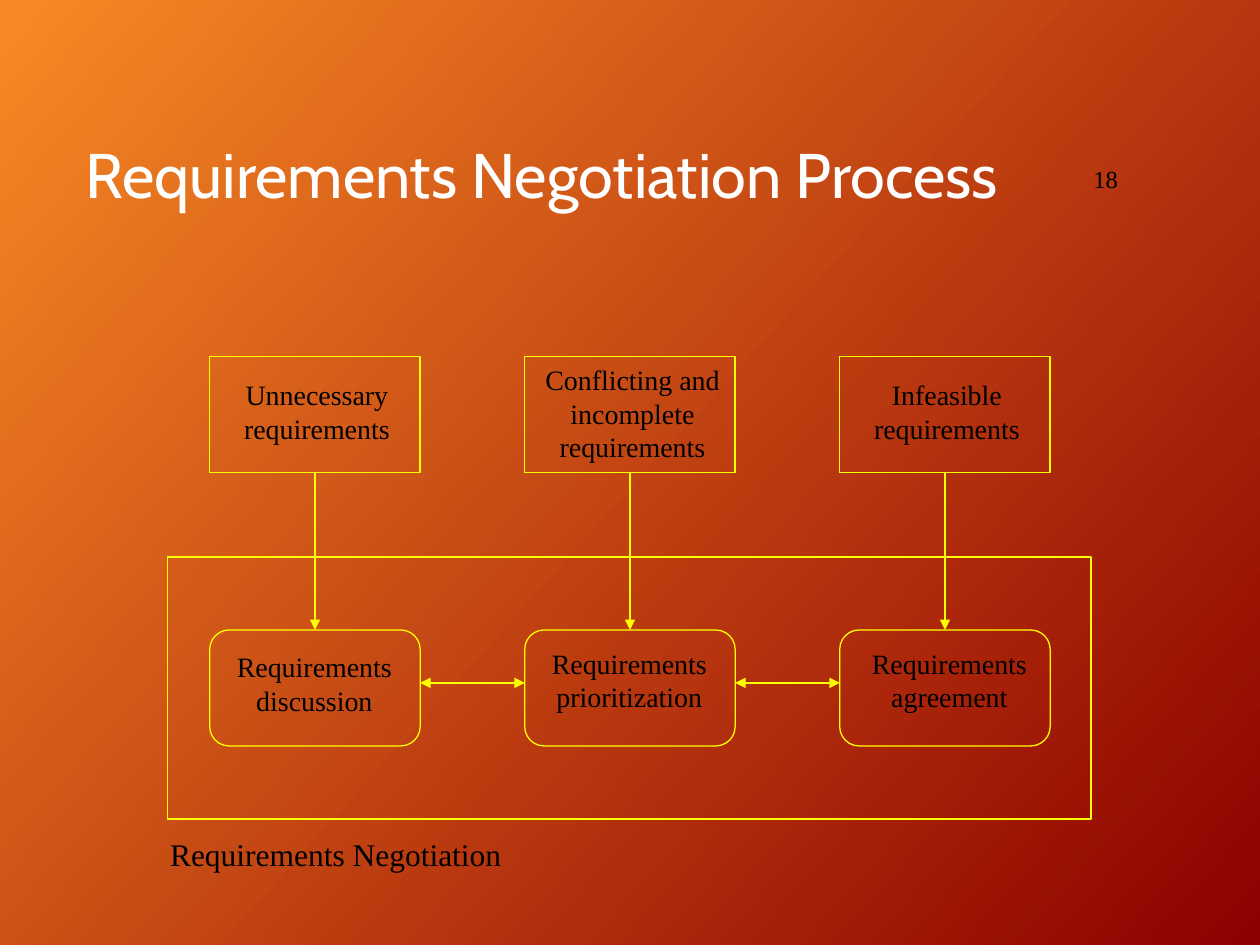
from lxml import etree
from pptx import Presentation
from pptx.dml.color import RGBColor
from pptx.enum.shapes import MSO_CONNECTOR, MSO_SHAPE
from pptx.enum.text import MSO_ANCHOR, MSO_AUTO_SIZE, PP_ALIGN
from pptx.oxml.ns import qn
from pptx.util import Inches, Pt

WHITE = RGBColor(0xFF, 0xFF, 0xFF)
BLACK = RGBColor(0x00, 0x00, 0x00)
YELLOW = RGBColor(0xFF, 0xFF, 0x00)
ORANGE = RGBColor(0xF7, 0x89, 0x25)
DARK_RED = RGBColor(0x8D, 0x00, 0x00)

RECT = MSO_SHAPE.RECTANGLE
ROUNDED = MSO_SHAPE.ROUNDED_RECTANGLE
STRAIGHT = MSO_CONNECTOR.STRAIGHT
LEFT = PP_ALIGN.LEFT
CENTER = PP_ALIGN.CENTER
TOP = MSO_ANCHOR.TOP
MIDDLE = MSO_ANCHOR.MIDDLE
NO_FIT = MSO_AUTO_SIZE.NONE
GROW = MSO_AUTO_SIZE.SHAPE_TO_FIT_TEXT

CENTERS = (2.5, 5, 7.5)
BOX_W, BOX_H = 1.67, 0.92
ISSUE_TOP, STEP_TOP = 2.83, 5
STEP_MID = 5.42

ISSUES = (
    ("Unnecessary\nrequirements", 1.82, 2.95, 1.39, 0.64),
    ("Conflicting and\nincomplete\nrequirements", 4.21, 2.83, 1.62, 0.9),
    ("Infeasible\nrequirements", 6.82, 2.95, 1.39, 0.64),
)
STEPS = (
    ("Requirements\ndiscussion", 1.77, 5.11, 1.45, 0.64),
    ("Requirements\nprioritization", 4.27, 5.08, 1.45, 0.64),
    ("Requirements\nagreement", 6.81, 5.08, 1.45, 0.64),
)


def set_background(s):
    fill = s.background.fill
    fill.gradient()
    fill.gradient_angle = 318
    for stop, color, position in zip(fill.gradient_stops, (ORANGE, DARK_RED), (0, 1)):
        stop.color.rgb = color
        stop.position = position


def write_text(sp, text, size=16, font="Times New Roman", color=BLACK,
               align=CENTER, anchor=TOP, wrap=False, fit=GROW, spacing=None):
    tf = sp.text_frame
    tf.text = text
    tf.word_wrap = wrap
    tf.auto_size = fit
    tf.vertical_anchor = anchor
    for p in tf.paragraphs:
        p.alignment = align
        p.line_spacing = spacing
        for r in p.runs:
            r.font.size = Pt(size)
            r.font.name = font
            r.font.color.rgb = color


def add_title(s, text):
    sp = s.shapes.title
    sp.left, sp.top = Inches(0.58), Inches(0.82)
    sp.width, sp.height = Inches(7.54), Inches(1.18)
    write_text(sp, text, size=36, font="Cabin", color=WHITE, align=LEFT,
               anchor=MIDDLE, wrap=True, fit=NO_FIT, spacing=0.9)


def add_label(s, text, x, y, w, h, **style):
    sp = s.shapes.add_textbox(Inches(x), Inches(y), Inches(w), Inches(h))
    write_text(sp, text, **style)


def add_outline(s, kind, x, y, w, h):
    sp = s.shapes.add_shape(kind, Inches(x), Inches(y), Inches(w), Inches(h))
    sp.shadow.inherit = False
    sp.fill.background()
    sp.line.color.rgb = YELLOW
    sp.line.width = Pt(0.75)


def add_arrow(s, x1, y1, x2, y2, ends=("tailEnd",)):
    cn = s.shapes.add_connector(STRAIGHT, Inches(x1), Inches(y1), Inches(x2), Inches(y2))
    cn.line.color.rgb = YELLOW
    cn.line.width = Pt(0.75)
    ln = cn.line._get_or_add_ln()
    for end in ends:
        etree.SubElement(ln, qn(f"a:{end}"), type="triangle")
    etree.SubElement(cn._element.spPr, qn("a:effectLst"))


def main():
    prs = Presentation()
    prs.slide_width, prs.slide_height = Inches(10), Inches(7.5)
    s = prs.slides.add_slide(prs.slide_layouts[5])
    set_background(s)
    add_title(s, "Requirements Negotiation Process")
    add_label(s, "18", 8.58, 0.82, 1.27, 1.19, size=14, align=LEFT,
              anchor=MIDDLE, wrap=True, fit=NO_FIT)

    add_outline(s, RECT, 1.33, 4.42, 7.33, 2.08)
    for x in CENTERS:
        add_outline(s, RECT, x - BOX_W / 2, ISSUE_TOP, BOX_W, BOX_H)
        add_outline(s, ROUNDED, x - BOX_W / 2, STEP_TOP, BOX_W, BOX_H)
        add_arrow(s, x, ISSUE_TOP + BOX_H, x, STEP_TOP)
    for x1, x2 in zip(CENTERS, CENTERS[1:]):
        add_arrow(s, x1 + BOX_W / 2, STEP_MID, x2 - BOX_W / 2, STEP_MID,
                  ends=("headEnd", "tailEnd"))

    for label in ISSUES + STEPS:
        add_label(s, *label)
    add_label(s, "Requirements Negotiation", 1.24, 6.58, 2.85, 0.4, size=18)
    prs.save("out.pptx")


if __name__ == "__main__":
    main()
